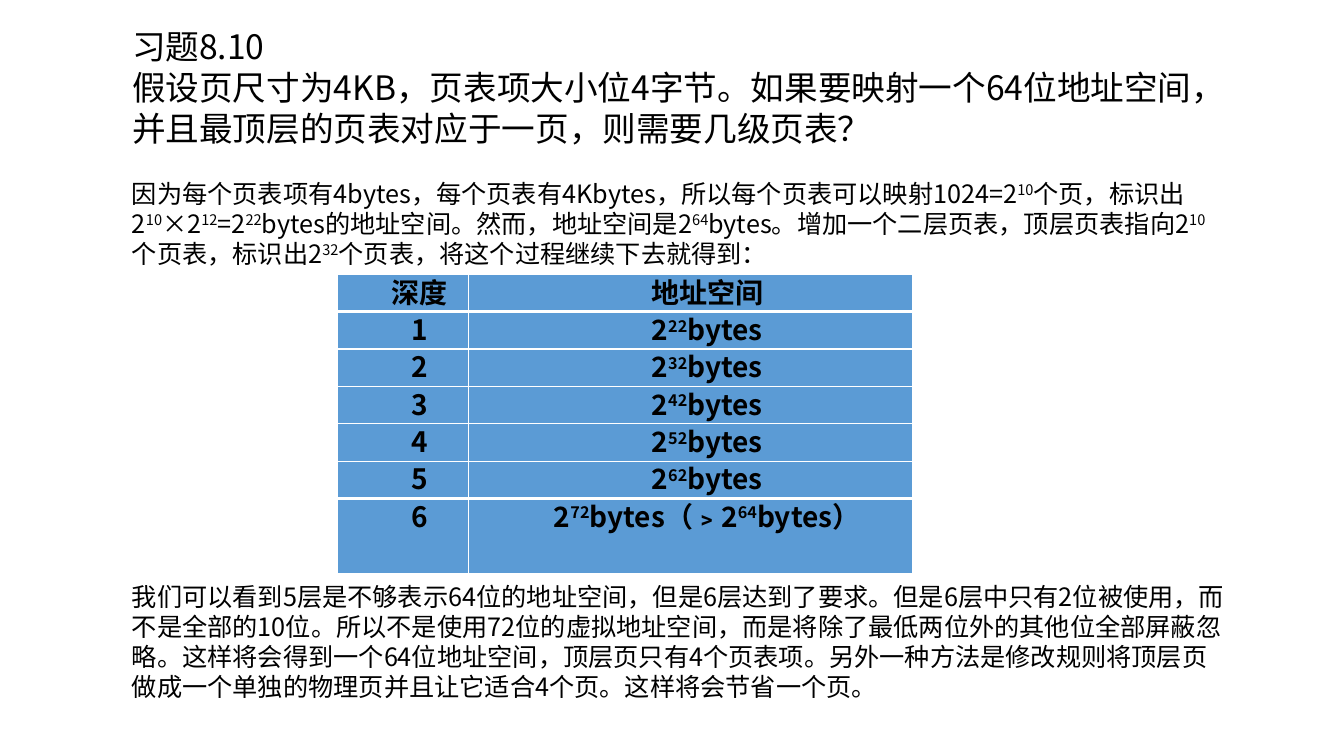
import pptx
import pptx.dml.color
import pptx.enum.text
import pptx.oxml.ns
import pptx.util
from lxml import etree

WIDTH = pptx.util.Inches(13.33)
HEIGHT = pptx.util.Inches(7.5)
FONT = "Noto Sans CJK SC"
BLACK = pptx.dml.color.RGBColor(0x00, 0x00, 0x00)
WHITE = pptx.dml.color.RGBColor(0xFF, 0xFF, 0xFF)
BLUE = pptx.dml.color.RGBColor(0x5B, 0x9B, 0xD5)

LEFT = 9.08
TEXT_WIDTH = 82.15
COLUMN_SHARES = (9.75, 33.01)
ROW_SHARE = 4.95

QUESTION = (
    "习题8.10",
    "假设页尺寸为4KB，页表项大小位4字节。如果要映射一个64位地址空间，并且最顶层的页表对应于一页，则需要几级页表？",
)
EXPLANATION = (
    "因为每个页表项有4bytes，每个页表有4Kbytes，所以每个页表可以映射1024=2^10^个页，"
    "标识出2^10^×2^12^=2^22^bytes的地址空间。然而，地址空间是2^64^bytes。"
    "增加一个二层页表，顶层页表指向2^10^个页表，标识出2^32^个页表，将这个过程继续下去就得到："
)
CONCLUSION = (
    "我们可以看到5层是不够表示64位的地址空间，但是6层达到了要求。但是6层中只有2位被使用，"
    "而不是全部的10位。所以不是使用72位的虚拟地址空间，而是将除了最低两位外的其他位全部屏蔽忽略。"
    "这样将会得到一个64位地址空间，顶层页只有4个页表项。另外一种方法是修改规则将顶层页做成一个"
    "单独的物理页并且让它适合4个页。这样将会节省一个页。"
)


def across(percent):
    return round(WIDTH * percent / 100)


def down(percent):
    return round(HEIGHT * percent / 100)


def write(para, text, size, pitch, bold=False, align=pptx.enum.text.PP_ALIGN.LEFT):
    para.alignment = align
    para.line_spacing = pptx.util.Pt(pitch)
    para.space_before = pptx.util.Pt(0)
    for index, part in enumerate(text.split("^")):
        if not part:
            continue
        span = para.add_run()
        span.text = part
        span.font.name = FONT
        span.font.size = pptx.util.Pt(size)
        span.font.bold = bold
        span.font.color.rgb = BLACK
        properties = span.font._element
        etree.SubElement(properties, pptx.oxml.ns.qn("a:ea"), typeface=FONT)
        if index % 2:
            properties.set("baseline", "30000")


def fill_box(box, texts, size, pitch):
    frame = box.text_frame
    frame.word_wrap = True
    frame.auto_size = pptx.enum.text.MSO_AUTO_SIZE.NONE
    frame.vertical_anchor = pptx.enum.text.MSO_ANCHOR.TOP
    for index, text in enumerate(texts):
        para = frame.add_paragraph() if index else frame.paragraphs[0]
        write(para, text, size, pitch)


def add_title(page, texts):
    title = page.shapes.title
    title.left, title.top = across(LEFT), down(2.67)
    title.width, title.height = across(TEXT_WIDTH), down(17.6)
    fill_box(title, texts, size=24, pitch=29.3)


def add_body(page, text, top, width, height):
    box = page.shapes.add_textbox(across(LEFT), down(top), across(width), down(height))
    fill_box(box, [text], size=18, pitch=21.4)


def set_borders(cell, **widths):
    properties = cell._tc.get_or_add_tcPr()
    for index, side in enumerate(("L", "R", "T", "B")):
        line = etree.Element(
            pptx.oxml.ns.qn("a:ln" + side), w=str(pptx.util.Pt(widths.get(side, 1)))
        )
        paint = etree.SubElement(line, pptx.oxml.ns.qn("a:solidFill"))
        etree.SubElement(paint, pptx.oxml.ns.qn("a:srgbClr"), val=str(WHITE))
        properties.insert(index, line)


def fill_cell(cell, text):
    cell.margin_left = cell.margin_right = pptx.util.Inches(0.07)
    cell.margin_top = cell.margin_bottom = 0
    cell.fill.solid()
    cell.fill.fore_color.rgb = BLUE
    para = cell.text_frame.paragraphs[0]
    write(para, text, 20, 26.4, bold=True, align=pptx.enum.text.PP_ALIGN.CENTER)
    properties = para._p.get_or_add_pPr()
    properties.set("marL", "0")
    properties.set("indent", str(pptx.util.Inches(0.33)))


def add_depth_table(page):
    rows = [("深度", "地址空间")]
    rows += [(str(depth), f"2^{12 + 10 * depth}^bytes") for depth in range(1, 6)]
    rows.append(("6", "2^72^bytes（﹥2^64^bytes）"))
    last = len(rows) - 1
    table = page.shapes.add_table(
        len(rows), len(COLUMN_SHARES), across(25.13), down(36.27),
        across(sum(COLUMN_SHARES)), down(ROW_SHARE * (len(rows) + 1)),
    ).table
    table.horz_banding = False
    for column, share in zip(table.columns, COLUMN_SHARES):
        column.width = across(share)
    for number, texts in enumerate(rows):
        table.rows[number].height = down(ROW_SHARE * (2 if number == last else 1))
        for position, text in enumerate(texts):
            cell = table.cell(number, position)
            fill_cell(cell, text)
            set_borders(
                cell,
                T=3 if number in (1, last) else 1,
                B=3 if number in (0, last - 1) else 1,
            )


def main():
    deck = pptx.Presentation()
    deck.slide_width, deck.slide_height = WIDTH, HEIGHT
    page = deck.slides.add_slide(deck.slide_layouts[5])
    page.background.fill.solid()
    page.background.fill.fore_color.rgb = WHITE
    add_title(page, QUESTION)
    add_body(page, EXPLANATION, top=22.93, width=TEXT_WIDTH, height=13.33)
    add_depth_table(page)
    add_body(page, CONCLUSION, top=76.27, width=83.05, height=17.47)
    deck.save("out.pptx")


if __name__ == "__main__":
    main()
